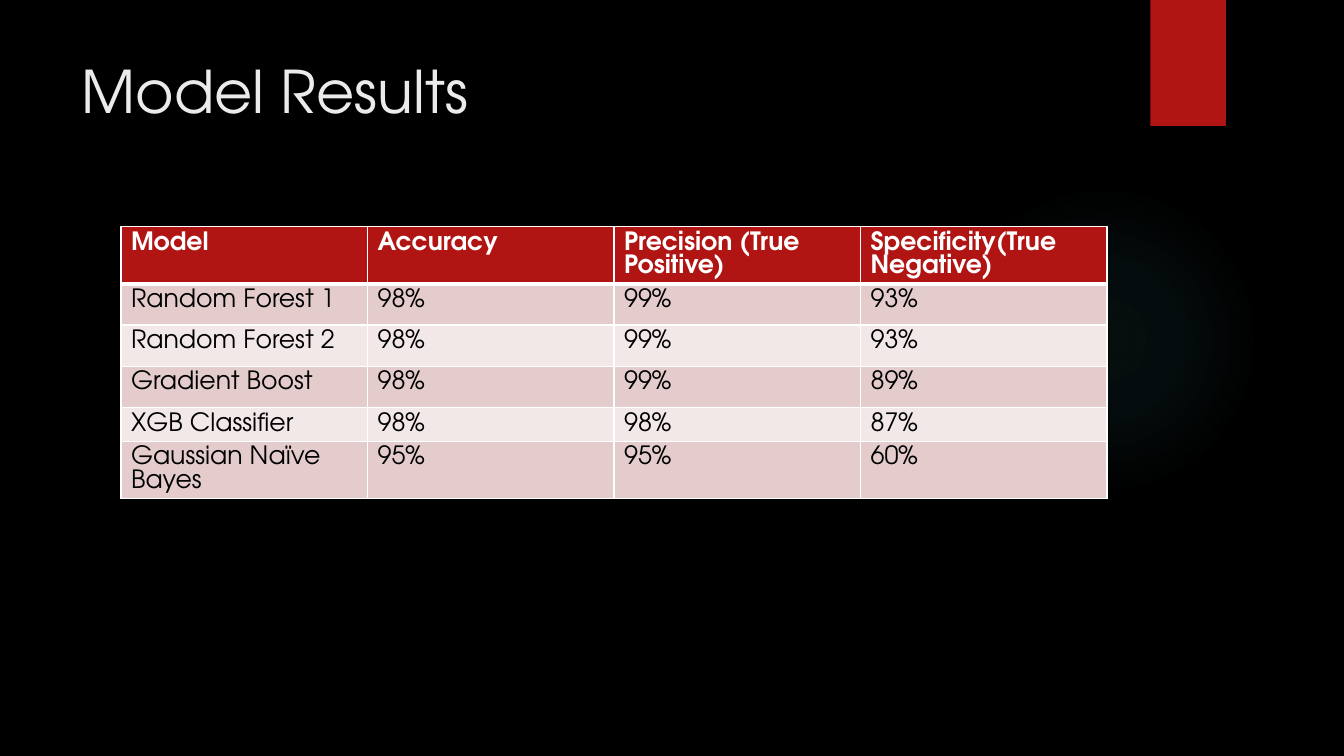
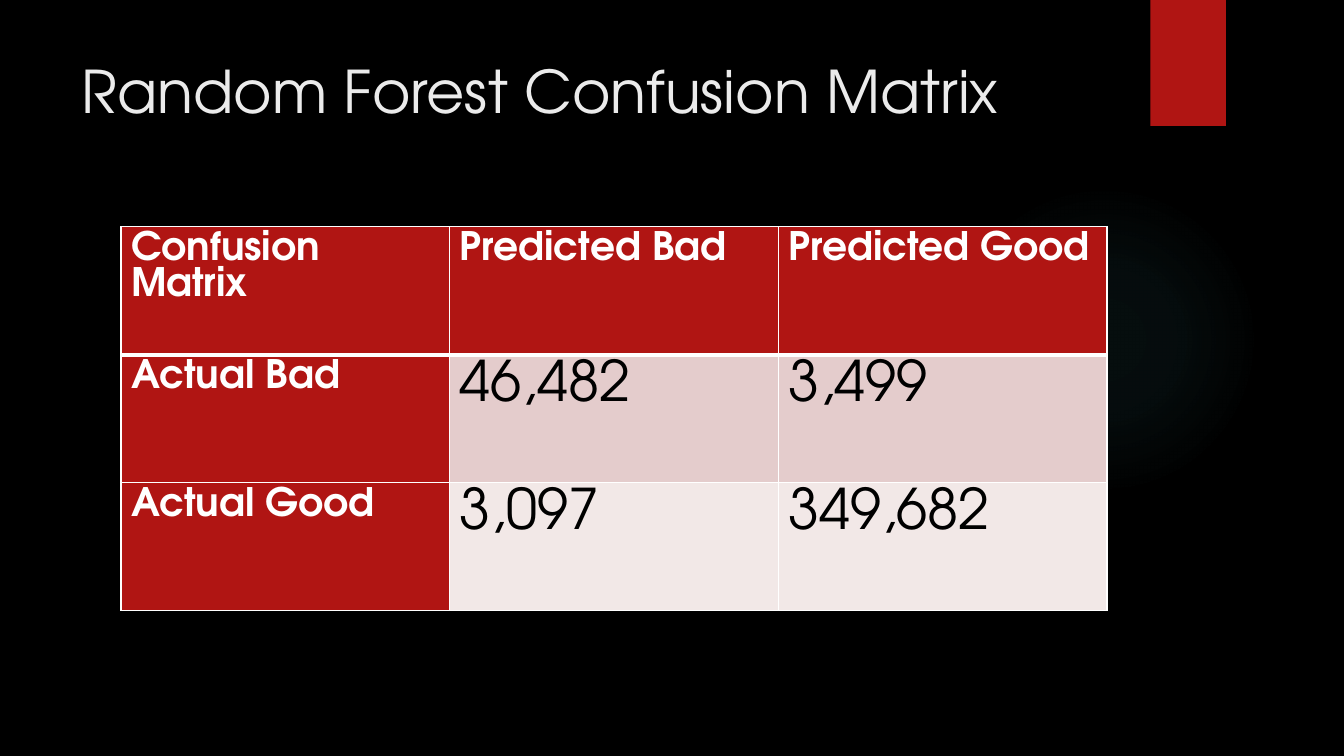
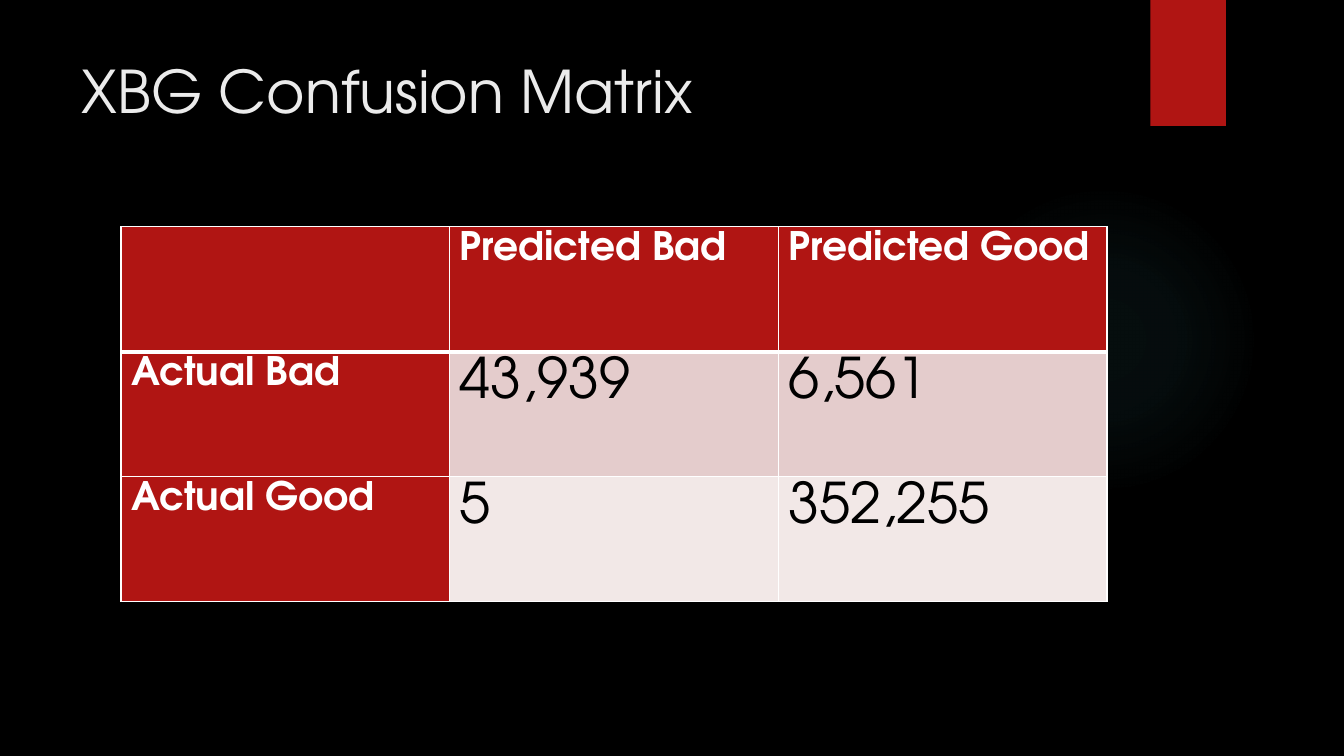
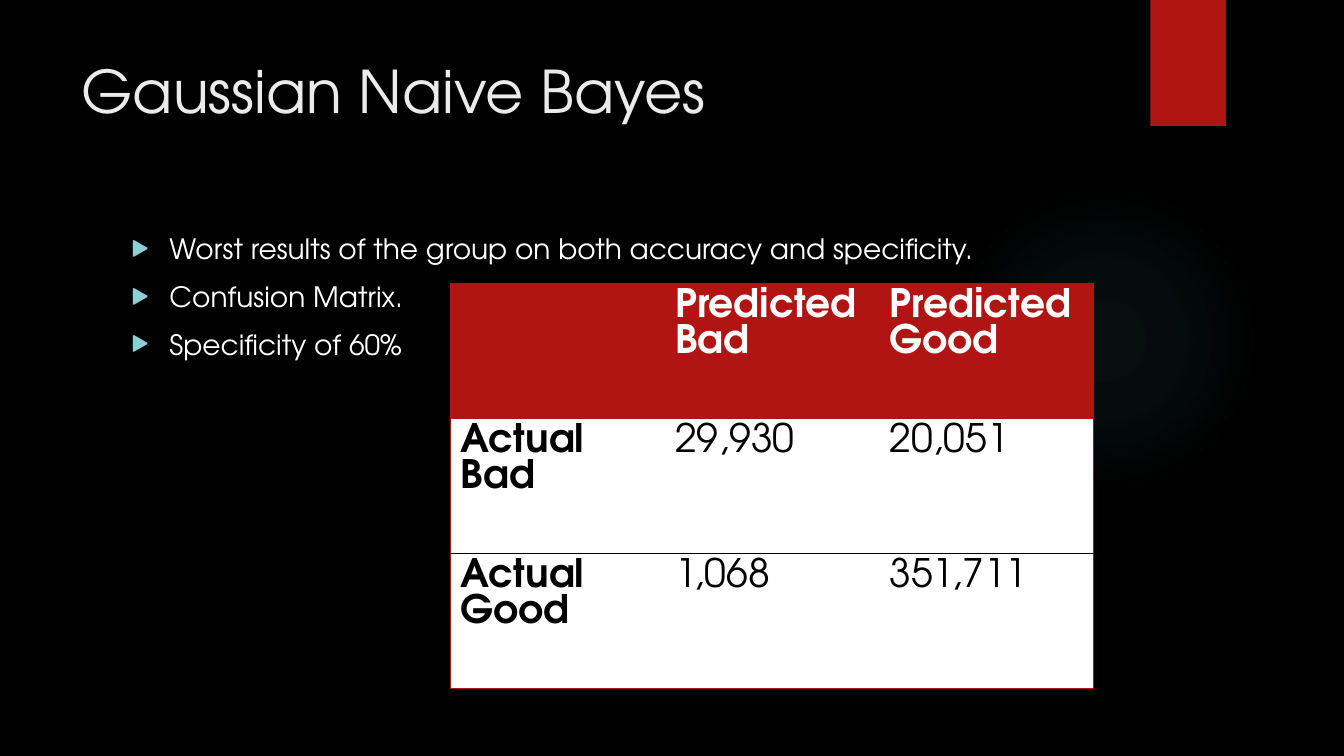
import lxml.etree
import pptx
import pptx.dml.color
import pptx.enum.shapes
import pptx.enum.text
import pptx.oxml
import pptx.oxml.ns
import pptx.util

PX = 9144
FONT = "TeX Gyre Adventor"
RED, WHITE, BLACK = "B01513", "FFFFFF", "000000"
TITLE_COLOUR, GLOW, BULLET = "EBEBEB", "50B9C1", "8AD0D6"
BANDS = ("E4CCCC", "F2E8E7")
TITLE_BOX = (71, 49, 1029, 153)
BODY_BOX = (120, 225, 978, 459)
GLOW_BOX = (941, 183, 308, 308)
TAG_BOX = (1141, 0, 75, 125)
TABLE_AT = (120, 225)
SIDES = {"left": "a:lnL", "right": "a:lnR", "top": "a:lnT", "bottom": "a:lnB"}


def colour(value):
    """Turn a hex string into a colour."""
    return pptx.dml.color.RGBColor.from_string(value)


def emu(*lengths):
    """Scale px lengths to EMU."""
    return [length * PX for length in lengths]


def parse_xml(markup):
    """Parse a fragment that uses the drawing namespace."""
    opening, rest = markup.split(" ", 1)
    return pptx.oxml.parse_xml(f"{opening} {pptx.oxml.ns.nsdecls('a')} {rest}")


def add_span(para, text, size, tone, bold=False):
    """Add one formatted run to a paragraph."""
    span = para.add_run()
    span.text = text
    span.font.name = FONT
    span.font.size = pptx.util.Pt(size)
    span.font.bold = bold
    span.font.color.rgb = colour(tone)


def place(box, area):
    """Move a placeholder to its area and anchor its text at the top left."""
    box.left, box.top, box.width, box.height = emu(*area)
    frame = box.text_frame
    frame.word_wrap = True
    frame.auto_size = pptx.enum.text.MSO_AUTO_SIZE.NONE
    frame.vertical_anchor = pptx.enum.text.MSO_ANCHOR.TOP
    return frame


def add_plain_shape(page, kind, area):
    """Add a red preset shape without line or shadow."""
    shape = page.shapes.add_shape(kind, *emu(*area))
    shape.shadow.inherit = False
    shape.line.fill.background()
    shape.fill.solid()
    shape.fill.fore_color.rgb = colour(RED)
    return shape


def dress_master(deck, page):
    """Give the master its black ground, soft glow and red tag."""
    master = deck.slide_master
    master.background.fill.solid()
    master.background.fill.fore_color.rgb = colour(BLACK)
    kinds = pptx.enum.shapes.MSO_SHAPE
    glow = add_plain_shape(page, kinds.OVAL, GLOW_BOX)
    tag = add_plain_shape(page, kinds.RECTANGLE, TAG_BOX)
    stops = "".join(
        f'<a:gs pos="{spot * 1000}"><a:srgbClr val="{GLOW}">'
        f'<a:alpha val="{alpha * 1000}"/></a:srgbClr></a:gs>'
        for spot, alpha in ((0, 7), (36, 6), (69, 0)))
    gradient = parse_xml(
        f'<a:gradFill rotWithShape="1"><a:gsLst>{stops}</a:gsLst><a:path path="circle">'
        '<a:fillToRect l="50000" t="50000" r="50000" b="50000"/></a:path></a:gradFill>')
    solid = glow.element.spPr.find(pptx.oxml.ns.qn("a:solidFill"))
    glow.element.spPr.replace(solid, gradient)
    for position, shape in enumerate((glow, tag), 2):
        master.shapes.element.insert(position, shape.element)


def add_page(deck, title, layout):
    """Add a page with its title."""
    page = deck.slides.add_slide(deck.slide_layouts.get_by_name(layout))
    para = place(page.shapes.title, TITLE_BOX).paragraphs[0]
    para.alignment = pptx.enum.text.PP_ALIGN.LEFT
    add_span(para, title, 42, TITLE_COLOUR)
    return page


def add_bullets(page, area, lines):
    """Fill the body placeholder with arrow bullets."""
    frame = place(page.placeholders[1], area)
    for index, line in enumerate(lines):
        para = frame.add_paragraph() if index else frame.paragraphs[0]
        para.space_before = pptx.util.Pt(10)
        add_span(para, line, 20, WHITE)
        properties = para._p.get_or_add_pPr()
        properties.set("marL", str(38 * PX))
        properties.set("indent", str(-38 * PX))
        for markup in (f'<a:buClr ><a:srgbClr val="{BULLET}"/></a:buClr>',
                       '<a:buSzPct val="80000"/>',
                       f'<a:buFont typeface="{FONT}"/>',
                       '<a:buChar char="▶"/>'):
            properties.append(parse_xml(markup))


def set_borders(cell, borders):
    """Draw the cell borders given as side: (colour, points), or None for no line."""
    properties = cell._tc.get_or_add_tcPr()
    for position, (side, tag) in enumerate(SIDES.items()):
        tone, points = borders[side] or (None, 0)
        paint = (f'<a:solidFill><a:srgbClr val="{tone}"/></a:solidFill>'
                 if tone else "<a:noFill/>")
        properties.insert(position, parse_xml(
            f'<{tag} w="{points * 12700}">{paint}</{tag}>'))


def banded_style(row, column, label_column):
    """Return fill, text colour and bold for a banded cell."""
    if row == 0 or (label_column and column == 0):
        return RED, WHITE, True
    return BANDS[(row - 1) % 2], BLACK, False


def banded_borders(row):
    """Return white borders, heavy between header and body."""
    borders = dict.fromkeys(SIDES, (WHITE, 1))
    if row < 2:
        borders["bottom" if row == 0 else "top"] = (WHITE, 3)
    return borders


def framed_style(row, column):
    """Return fill, text colour and bold for a cell of the framed table."""
    if row == 0:
        return RED, WHITE, True
    return WHITE, BLACK, column == 0


def framed_borders(row, column, last_row, last_column):
    """Return a red outline with a dark rule between the body rows."""
    return {"left": (RED, 1) if column == 0 else None,
            "right": (RED, 1) if column == last_column else None,
            "top": (BLACK if row > 1 else RED, 1),
            "bottom": (BLACK if 0 < row < last_row else RED, 1)}


def add_grid(page, corner, width, heights, rows, head_size, value_size,
             framed=False, label_column=True):
    """Add a table of equal columns at a corner."""
    columns = len(rows[0])
    area = emu(*corner, width, sum(heights))
    table = page.shapes.add_table(len(rows), columns, *area).table
    for column in table.columns:
        column.width = width * PX // columns
    for r, texts in enumerate(rows):
        table.rows[r].height = heights[r] * PX
        for c, text in enumerate(texts):
            cell = table.cell(r, c)
            if framed:
                fill, tone, bold = framed_style(r, c)
                borders = framed_borders(r, c, len(rows) - 1, columns - 1)
            else:
                fill, tone, bold = banded_style(r, c, label_column)
                borders = banded_borders(r)
            cell.fill.solid()
            cell.fill.fore_color.rgb = colour(fill)
            set_borders(cell, borders)
            if text:
                size = head_size if bold else value_size
                add_span(cell.text_frame.paragraphs[0], text, size, tone, bold)


def confusion_rows(corner, bad, good):
    """Return the rows of a confusion matrix."""
    return [(corner, "Predicted Bad", "Predicted Good"),
            ("Actual Bad", *bad), ("Actual Good", *good)]


def main():
    """Build and save the deck."""
    deck = pptx.Presentation()
    deck.slide_width, deck.slide_height = emu(1333, 750)

    page = add_page(deck, "Model Results", "Title Only")
    dress_master(deck, page)
    results = [
        ("Model", "Accuracy", "Precision (True Positive)", "Specificity(True Negative)"),
        ("Random Forest 1", "98%", "99%", "93%"),
        ("Random Forest 2", "98%", "99%", "93%"),
        ("Gradient Boost", "98%", "99%", "89%"),
        ("XGB Classifier", "98%", "98%", "87%"),
        ("Gaussian Naïve Bayes", "95%", "95%", "60%")]
    add_grid(page, TABLE_AT, 978, (55, 41, 41, 41, 33, 56), results, 18, 18,
             label_column=False)

    matrices = [
        ("Random Forest Confusion Matrix", 127, "Confusion Matrix",
         ("46,482", "3,499"), ("3,097", "349,682")),
        ("XBG Confusion Matrix", 124, "", ("43,939", "6,561"), ("5", "352,255"))]
    for title, height, *parts in matrices:
        page = add_page(deck, title, "Title Only")
        add_grid(page, TABLE_AT, 978, [height] * 3, confusion_rows(*parts), 28, 40)

    page = add_page(deck, "Gaussian Naive Bayes", "Title and Content")
    add_bullets(page, BODY_BOX, (
        "Worst results of the group on both accuracy and specificity.",
        "Confusion Matrix.", "Specificity of 60%"))
    rows = confusion_rows("", ("29,930", "20,051"), ("1,068", "351,711"))
    add_grid(page, (447, 281), 638, [134] * 3, rows, 28, 28, framed=True)

    deck.save("out.pptx")


if __name__ == "__main__":
    main()
